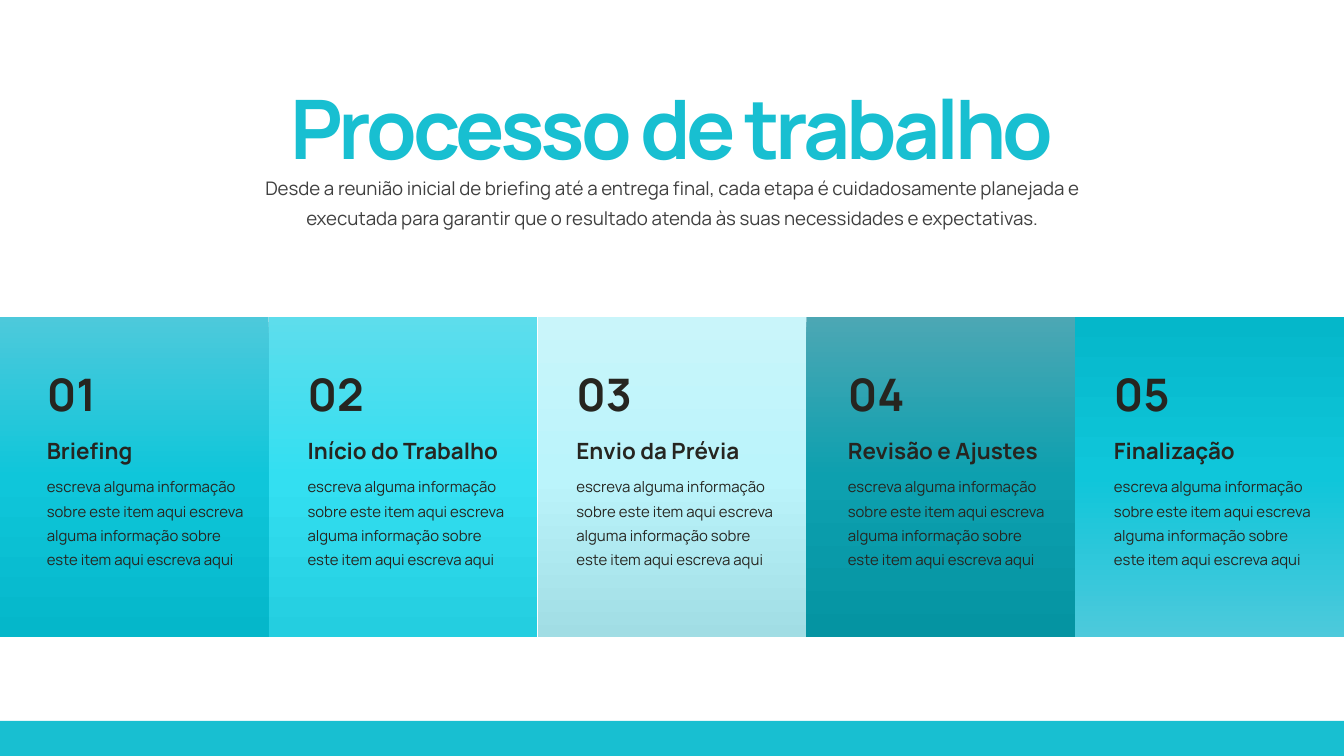
"""Build the five-step work process slide."""
from copy import deepcopy
from pptx import Presentation
from pptx.dml.color import RGBColor
from pptx.enum import shapes, text
from pptx.oxml.ns import qn
from pptx.util import Inches, Pt

FONT, DARK, GREY, TEAL = "Manrope", "262520", "404040", "18BFD1"
TITLE = "Processo de trabalho"
INTRO = ("Desde a reunião inicial de briefing até a entrega final, cada etapa é "
         "cuidadosamente planejada e executada para garantir que o resultado "
         "atenda às suas necessidades e expectativas.")
DETAIL = ("escreva alguma informação sobre este item aqui escreva alguma "
          "informação sobre este item aqui escreva aqui")
STEPS = [
    ("Briefing", 0.25, ("4DC9DB", "0FC6DA", "05B7CA")),
    ("Início do Trabalho", 2.19, ("5DDDEC", "33DFF1", "24CEE0")),
    ("Envio da Prévia", 4.19, ("C9F5FA", "BBF4FB", "A1DDE4")),
    ("Revisão e Ajustes", 6.21, ("4CA7B4", "0DA0AF", "0594A2")),
    ("Finalização", 8.19, ("05B7CA", "0FC6DA", "4DC9DB")),
]
SLIDE_W = 10
SLIDE_H = SLIDE_W * 9 / 16
PANEL_W, PANEL_TOP, PANEL_H = SLIDE_W / len(STEPS), 2.36, 2.38
BAR_H = 0.26


def rgb(value):
    return RGBColor.from_string(value)


def add_panel(slide, x, y, w, h, colors):
    s = slide.shapes.add_shape(shapes.MSO_SHAPE.RECTANGLE, *map(Inches, (x, y, w, h)))
    s.shadow.inherit = False
    s.line.fill.background()
    if len(colors) == 1:
        s.fill.solid()
        s.fill.fore_color.rgb = rgb(colors[0])
        return
    s.fill.gradient()
    s.fill.gradient_angle = 270
    stops = s._element.spPr.find(qn("a:gradFill")).find(qn("a:gsLst"))
    stops.append(deepcopy(stops[-1]))
    for i, (stop, color) in enumerate(zip(s.fill.gradient_stops, colors)):
        stop.position = i / (len(colors) - 1)
        stop.color.rgb = rgb(color)


def add_text(slide, x, y, w, h, words, size, color=DARK, bold=False,
             spacing=None, centered=False, tracking=None):
    tf = slide.shapes.add_textbox(*map(Inches, (x, y, w, h))).text_frame
    tf.word_wrap = True
    tf.auto_size = text.MSO_AUTO_SIZE.SHAPE_TO_FIT_TEXT
    p = tf.paragraphs[0]
    if centered:
        p.alignment = text.PP_ALIGN.CENTER
    if spacing:
        p.line_spacing = spacing
    r = p.add_run()
    r.text = words
    r.font.name, r.font.size, r.font.bold = FONT, Pt(size), bold
    r.font.color.rgb = rgb(color)
    if tracking:
        r._r.get_or_add_rPr().set("spc", str(tracking))


def main():
    prs = Presentation()
    prs.slide_width, prs.slide_height = Inches(SLIDE_W), Inches(SLIDE_H)
    slide = prs.slides.add_slide(prs.slide_layouts[6])
    for i, (_, _, colors) in enumerate(STEPS):
        add_panel(slide, i * PANEL_W, PANEL_TOP, PANEL_W, PANEL_H, colors)
    for number, (name, x, _) in enumerate(STEPS, 1):
        add_text(slide, x, 2.68, 0.8, 0.5, f"{number:02}", 24, bold=True)
        add_text(slide, x, 3.1, 1.76, 0.38, name, 12, bold=True, spacing=1.5)
        add_text(slide, x, 3.46, 1.67, 1, DETAIL, 8, spacing=Pt(13))
    add_text(slide, 1.55, 1.22, 6.9, 0.52, INTRO, 10, GREY, spacing=1.3, centered=True)
    add_panel(slide, 0, SLIDE_H - BAR_H, SLIDE_W, BAR_H, [TEAL])
    add_text(slide, 0.51, 0.53, 8.98, 0.84, TITLE, 44, TEAL, bold=True,
             centered=True, tracking=-220)
    prs.save("out.pptx")


if __name__ == "__main__":
    main()
